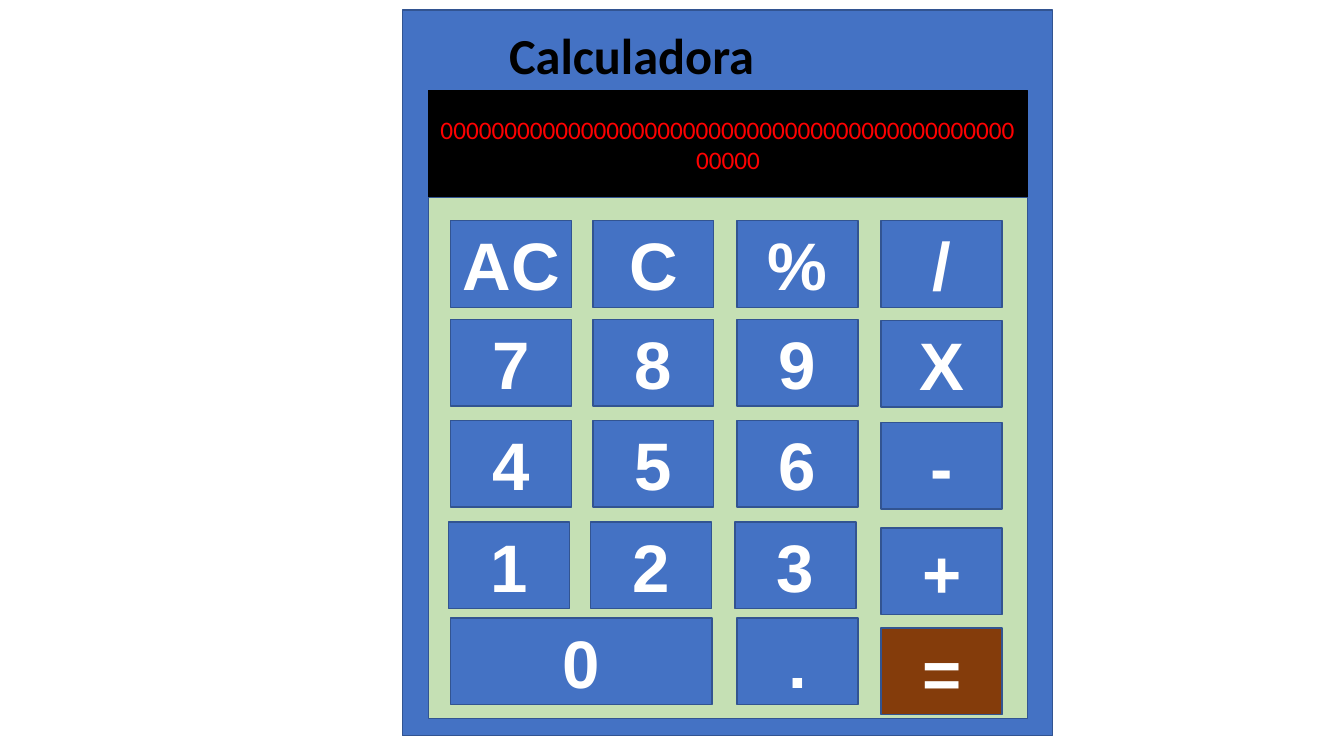
from pptx import Presentation
from pptx.dml.color import RGBColor
from pptx.enum import shapes, text
from pptx.util import Inches, Pt

BLUE = RGBColor(0x44, 0x72, 0xC4)
EDGE = RGBColor(0x32, 0x54, 0x91)
GREEN = RGBColor(0xC5, 0xE0, 0xB4)
BROWN = RGBColor(0x84, 0x3C, 0x0B)
BLACK = RGBColor(0, 0, 0)
RED = RGBColor(0xFF, 0, 0)
WHITE = RGBColor(0xFF, 0xFF, 0xFF)

# Key positions, in inches from the keypad's top left corner
KEY_WIDTH, KEY_HEIGHT = 1.2, 0.86
ZERO_WIDTH = 2.59
COLUMN_LEFTS = [0.22, 1.63, 3.06, 4.49]
DIGIT_TOPS = [0.23, 1.21, 2.21, 3.22, 4.17]
OPERATOR_TOPS = [0.23, 1.22, 2.23, 3.28, 4.27]
KEY_ROWS = [
    ["AC", "C", "%", "/"],
    ["7", "8", "9", "X"],
    ["4", "5", "6", "-"],
    ["1", "2", "3", "+"],
    ["0", None, ".", "="],
]


def write(frame, words, font_name, size, color, bold=False):
    frame.word_wrap = True
    frame.text = words
    paragraph = frame.paragraphs[0]
    paragraph.alignment = text.PP_ALIGN.CENTER
    font = paragraph.runs[0].font
    font.name, font.size, font.bold = font_name, Pt(size), bold
    font.color.rgb = color


def add_panel(slide, box, fill, edge=EDGE):
    panel = slide.shapes.add_shape(
        shapes.MSO_SHAPE.RECTANGLE, *[Inches(length) for length in box])
    panel.shadow.inherit = False
    panel.fill.solid()
    panel.fill.fore_color.rgb = fill
    panel.line.color.rgb = edge
    panel.line.width = Pt(1)
    panel.text_frame.vertical_anchor = text.MSO_ANCHOR.MIDDLE
    return panel


def add_title(slide, box):
    title = slide.shapes.add_textbox(*[Inches(length) for length in box])
    write(title.text_frame, "Calculadora", "Calibri", 36, BLACK, bold=True)
    title.text_frame.auto_size = text.MSO_AUTO_SIZE.SHAPE_TO_FIT_TEXT


def add_display(slide, box):
    display = add_panel(slide, box, BLACK, BLACK)
    write(display.text_frame, "0" * 50, "Calibri", 18, RED)


def add_keypad(slide, box):
    left, top = box[:2]
    add_panel(slide, box, GREEN)
    for row, labels in enumerate(KEY_ROWS):
        for column, label in enumerate(labels):
            if label is None:
                continue
            is_operator = column == 3
            tops = OPERATOR_TOPS if is_operator else DIGIT_TOPS
            # The 1-2-3 row sits slightly to the left
            shift = -0.02 if row == 3 and not is_operator else 0
            key_box = (left + COLUMN_LEFTS[column] + shift, top + tops[row],
                       ZERO_WIDTH if label == "0" else KEY_WIDTH, KEY_HEIGHT)
            key = add_panel(slide, key_box, BROWN if label == "=" else BLUE)
            write(key.text_frame, label, "Arial", 48, WHITE, bold=True)


def add_calculator(slide, box):
    left, top, width, height = box
    add_panel(slide, box, BLUE)
    inner_left, inner_width = left + 0.26, width - 0.51
    add_display(slide, (inner_left, top + 0.8, inner_width, 1.06))
    add_keypad(slide, (inner_left, top + 1.86, inner_width, height - 2.03))
    add_title(slide, (left - 0.61, top + 0.09, 5.77, 0.71))


def main():
    deck = Presentation()
    deck.slide_width, deck.slide_height = Inches(13.33), Inches(7.5)
    slide = deck.slides.add_slide(deck.slide_layouts[6])
    add_calculator(slide, (3.99, 0.1, 6.45, 7.2))
    deck.save("out.pptx")


if __name__ == "__main__":
    main()
